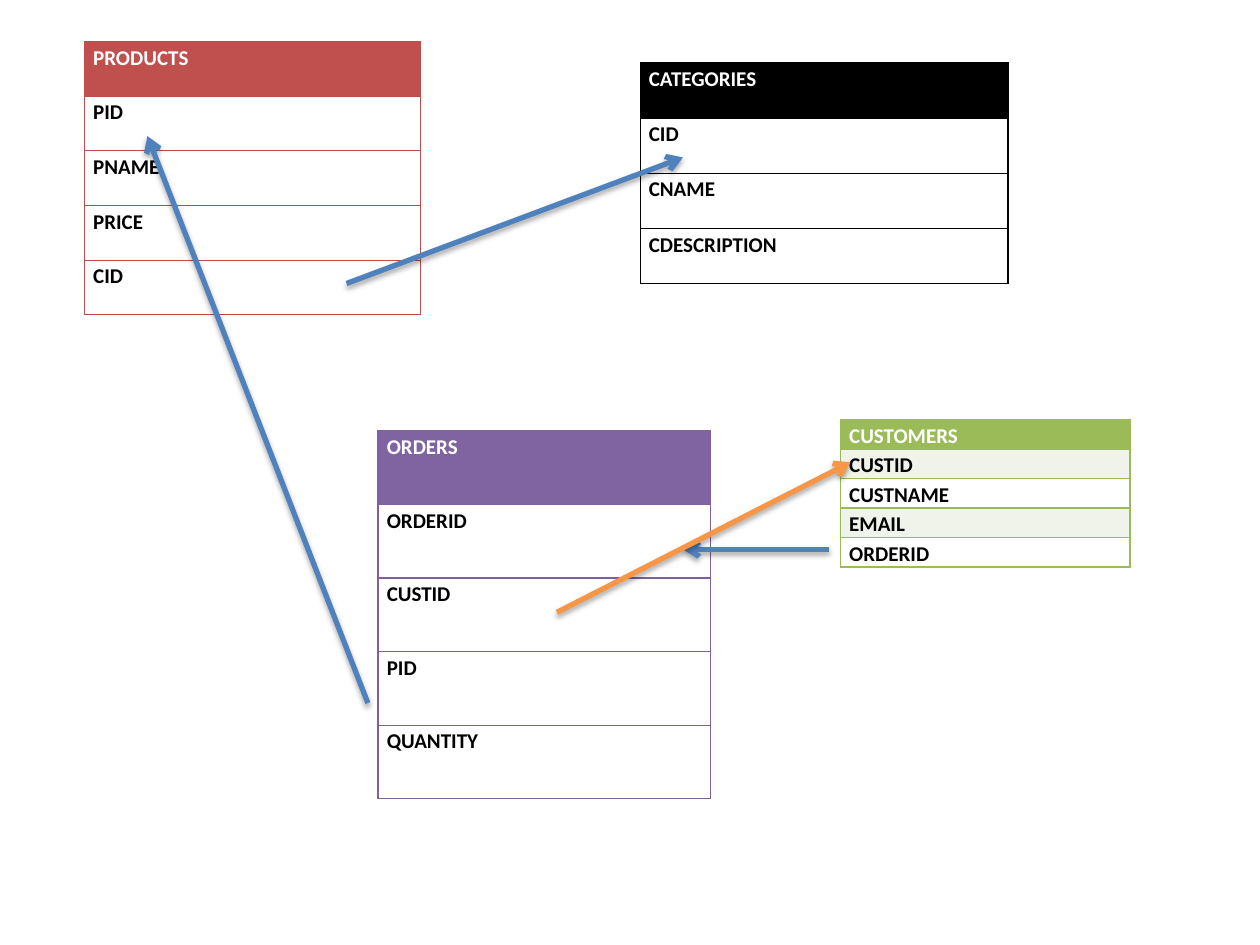
from lxml import etree
from pptx import Presentation
from pptx.dml.color import RGBColor
from pptx.enum.shapes import MSO_CONNECTOR
from pptx.oxml import parse_xml
from pptx.oxml.ns import nsdecls, qn
from pptx.util import Inches, Pt

STRAIGHT = MSO_CONNECTOR.STRAIGHT
BLANK_LAYOUT = 6

WHITE = RGBColor(0xFF, 0xFF, 0xFF)
BLACK = RGBColor(0x00, 0x00, 0x00)
RED = RGBColor(0xC0, 0x50, 0x4D)
RED_BORDER = RGBColor(0xBF, 0x4C, 0x48)
PURPLE = RGBColor(0x80, 0x64, 0xA2)
PURPLE_BORDER = RGBColor(0x7D, 0x60, 0xA0)
GREEN = RGBColor(0x9B, 0xBB, 0x59)
PALE_GREEN = RGBColor(0xEF, 0xF3, 0xEA)
BLUE = RGBColor(0x4F, 0x81, 0xBD)
ORANGE = RGBColor(0xF7, 0x96, 0x46)

CELL_MARGINS = {
    "margin_left": Inches(0.07),
    "margin_right": Inches(0.07),
    "margin_top": 0,
    "margin_bottom": 0,
}
FONT = {"name": "Calibri", "size": Pt(12), "bold": True}

# name, fields, left, top, width, height, header, border, border points, row fills
ENTITIES = [
    ("PRODUCTS", ["PID", "PNAME", "PRICE", "CID"],
     0.67, 0.33, 2.67, 2.17, RED, RED_BORDER, 0.75, None),
    ("CATEGORIES", ["CID", "CNAME", "CDESCRIPTION"],
     5.08, 0.5, 2.92, 1.75, BLACK, BLACK, 0.75, None),
    ("CUSTOMERS", ["CUSTID", "CUSTNAME", "EMAIL", "ORDERID"],
     6.67, 3.33, 2.3, 1.08, GREEN, GREEN, 1, (PALE_GREEN, WHITE)),
    ("ORDERS", ["ORDERID", "CUSTID", "PID", "QUANTITY"],
     3, 3.42, 2.64, 2.92, PURPLE, PURPLE_BORDER, 0.75, None),
]

# start x, start y, end x, end y, colour
RELATIONS = [
    (2.75, 2.25, 5.42, 1.25, BLUE),
    (6.58, 4.36, 5.42, 4.36, BLUE),
    (4.42, 4.86, 6.75, 3.67, ORANGE),
    (2.92, 5.58, 1.17, 1.08, BLUE),
]


def set_attributes(target, values):
    for name, value in values.items():
        setattr(target, name, value)


def set_borders(cell, color, points):
    """Outline all four sides; call before the fill, which must follow in the XML."""
    properties = cell._tc.get_or_add_tcPr()
    for side in ("lnL", "lnR", "lnT", "lnB"):
        properties.append(parse_xml(
            f'<a:{side} {nsdecls("a")} w="{Pt(points)}"><a:solidFill>'
            f'<a:srgbClr val="{color}"/></a:solidFill></a:{side}>'))


def set_fill(cell, color):
    if color is None:
        cell.fill.background()
    else:
        cell.fill.solid()
        cell.fill.fore_color.rgb = color


def write_cell(cell, text, color):
    set_attributes(cell, CELL_MARGINS)
    paragraph = cell.text_frame.paragraphs[0]
    paragraph.line_spacing = 1.15
    run = paragraph.add_run()
    run.text = text
    set_attributes(run.font, FONT)
    run.font.color.rgb = color


def add_entity(slide, name, fields, left, top, width, height,
               header, border, border_points, row_fills):
    """Draw a one-column table: the entity's name above its fields."""
    texts = [name, *fields]
    table = slide.shapes.add_table(
        len(texts), 1, Inches(left), Inches(top),
        Inches(width), Inches(height)).table
    table.horz_banding = False
    for index, text in enumerate(texts):
        cell = table.cell(index, 0)
        write_cell(cell, text, BLACK if index else WHITE)
        set_borders(cell, border, border_points)
        if index == 0:
            set_fill(cell, header)
        else:
            set_fill(cell, row_fills[(index - 1) % 2] if row_fills else None)


def add_relation(slide, start_x, start_y, end_x, end_y, color):
    """Draw a shadowed arrow from a foreign key to the key it refers to."""
    connector = slide.shapes.add_connector(
        STRAIGHT, Inches(start_x), Inches(start_y), Inches(end_x), Inches(end_y))
    connector.line.width = Pt(3)
    connector.line.color.rgb = color
    etree.SubElement(connector.line._get_or_add_ln(), qn("a:tailEnd"), type="arrow")
    connector._element.spPr.append(parse_xml(
        f'<a:effectLst {nsdecls("a")}>'
        f'<a:outerShdw blurRad="{Pt(3.1)}" dist="{Pt(1.8)}" dir="5400000" rotWithShape="0">'
        '<a:srgbClr val="000000"><a:alpha val="35000"/></a:srgbClr>'
        '</a:outerShdw></a:effectLst>'))


def main():
    presentation = Presentation()
    presentation.slide_width = Inches(10)
    presentation.slide_height = Inches(7.5)
    slide = presentation.slides.add_slide(presentation.slide_layouts[BLANK_LAYOUT])
    for entity in ENTITIES:
        add_entity(slide, *entity)
    for relation in RELATIONS:
        add_relation(slide, *relation)
    presentation.save("out.pptx")


if __name__ == "__main__":
    main()
